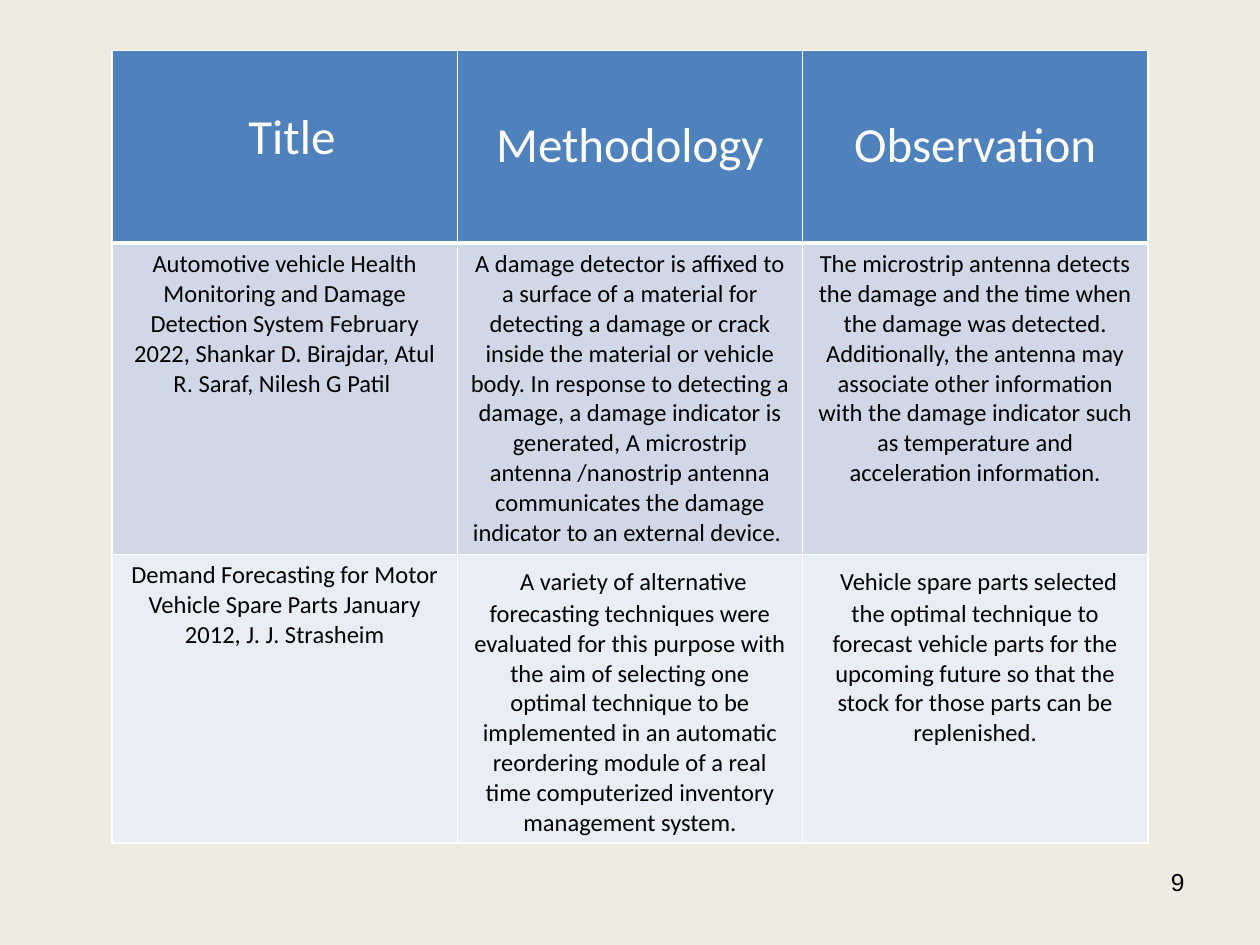
from dataclasses import dataclass

from lxml import etree
from pptx import Presentation
from pptx.dml.color import RGBColor
from pptx.enum import text
from pptx.oxml import ns
from pptx.util import Inches, Pt


@dataclass(frozen=True)
class Theme:
    background: str = "EEECE1"
    header_fill: str = "4F81BD"
    row_fills: tuple = ("D0D8E8", "E9EDF4")
    light: str = "FFFFFF"
    dark: str = "000000"
    table_font: str = "Calibri"
    number_font: str = "Arial"
    header_size: int = 28
    header_gap_size: int = 36
    body_size: int = 14
    body_gap_size: int = 18


THEME = Theme()
GAP = " "  # no-break space

# Each heading: its distance from the cell top and its runs as (text, size)
HEADINGS = [
    (0.35, [(" ", THEME.header_gap_size), ("Title", THEME.header_size)]),
    (0.52, [("Methodology", THEME.header_size)]),
    (0.52, [("Observation", THEME.header_size)]),
]
STUDIES = [
    [
        "Automotive vehicle Health Monitoring and Damage Detection System "
        "February 2022, Shankar D. Birajdar, Atul R. Saraf, Nilesh G Patil ",
        "A damage detector is affixed to a surface of a material for detecting "
        "a damage or crack inside the material or vehicle body. In response to "
        "detecting a damage, a damage indicator is generated, A microstrip "
        "antenna /nanostrip antenna communicates the damage indicator to an "
        "external device." + GAP,
        "The microstrip antenna detects the damage and the time when the damage "
        "was detected. Additionally, the antenna may associate other information "
        "with the damage indicator such as temperature and acceleration information.",
    ],
    [
        "Demand Forecasting for Motor Vehicle Spare Parts January 2012, J. J. Strasheim",
        GAP + "A variety of alternative forecasting techniques were evaluated for "
        "this purpose with the aim of selecting one optimal technique to be "
        "implemented in an automatic reordering module of a real time "
        "computerized inventory management system.",
        GAP + "Vehicle spare parts selected the optimal technique to forecast "
        "vehicle parts for the upcoming future so that the stock for those parts "
        "can be replenished.",
    ],
]
ROW_HEIGHTS = [1.53, 2.47, 2.29]


def add_run(paragraph, words, size, color, font):
    run = paragraph.add_run()
    run.text = words
    run.font.size = Pt(size)
    run.font.name = font
    run.font.color.rgb = RGBColor.from_string(color)


def body_runs(words):
    """Split off a leading no-break space, which is set larger than the text."""
    if words.startswith(GAP):
        return [(GAP, THEME.body_gap_size), (words[1:], THEME.body_size)]
    return [(words, THEME.body_size)]


def set_borders(cell, bottom_width=1):
    properties = cell._tc.get_or_add_tcPr()
    widths = {"lnL": 1, "lnR": 1, "lnT": 1, "lnB": bottom_width}
    for position, (side, width) in enumerate(widths.items()):
        line = etree.Element(ns.qn(f"a:{side}"), w=str(Pt(width)))
        fill = etree.SubElement(line, ns.qn("a:solidFill"))
        etree.SubElement(fill, ns.qn("a:srgbClr"), val=THEME.light)
        properties.insert(position, line)


def fill_cell(cell, runs, fill, color, bottom_width=1):
    cell.fill.solid()
    cell.fill.fore_color.rgb = RGBColor.from_string(fill)
    set_borders(cell, bottom_width)
    paragraph = cell.text_frame.paragraphs[0]
    paragraph.alignment = text.PP_ALIGN.CENTER
    for words, size in runs:
        add_run(paragraph, words, size, color, THEME.table_font)


def add_study_table(slide, left, top, width):
    height = sum(ROW_HEIGHTS)
    table = slide.shapes.add_table(
        len(ROW_HEIGHTS), len(HEADINGS),
        Inches(left), Inches(top), Inches(width), Inches(height),
    ).table
    for row, row_height in zip(table.rows, ROW_HEIGHTS):
        row.height = Inches(row_height)
    for column, (margin_top, runs) in enumerate(HEADINGS):
        cell = table.cell(0, column)
        cell.margin_top = Inches(margin_top)
        fill_cell(cell, runs, THEME.header_fill, THEME.light, bottom_width=3)
    for row, (study, fill) in enumerate(zip(STUDIES, THEME.row_fills), start=1):
        for column, words in enumerate(study):
            fill_cell(table.cell(row, column), body_runs(words), fill, THEME.dark)


def add_slide_number(slide, number, left, top, width, height):
    box = slide.shapes.add_textbox(
        Inches(left), Inches(top), Inches(width), Inches(height))
    box.text_frame.word_wrap = True
    paragraph = box.text_frame.paragraphs[0]
    paragraph.alignment = text.PP_ALIGN.RIGHT
    add_run(paragraph, str(number), THEME.body_size, THEME.dark, THEME.number_font)


def main():
    presentation = Presentation()
    presentation.slide_width = Inches(10)
    presentation.slide_height = Inches(7.5)
    slide = presentation.slides.add_slide(presentation.slide_layouts[6])
    background = slide.background.fill
    background.solid()
    background.fore_color.rgb = RGBColor.from_string(THEME.background)
    add_slide_number(slide, 9, 7.17, 6.83, 2.33, 0.52)
    add_study_table(slide, 0.89, 0.4, 8.22)
    presentation.save("out.pptx")


if __name__ == "__main__":
    main()
